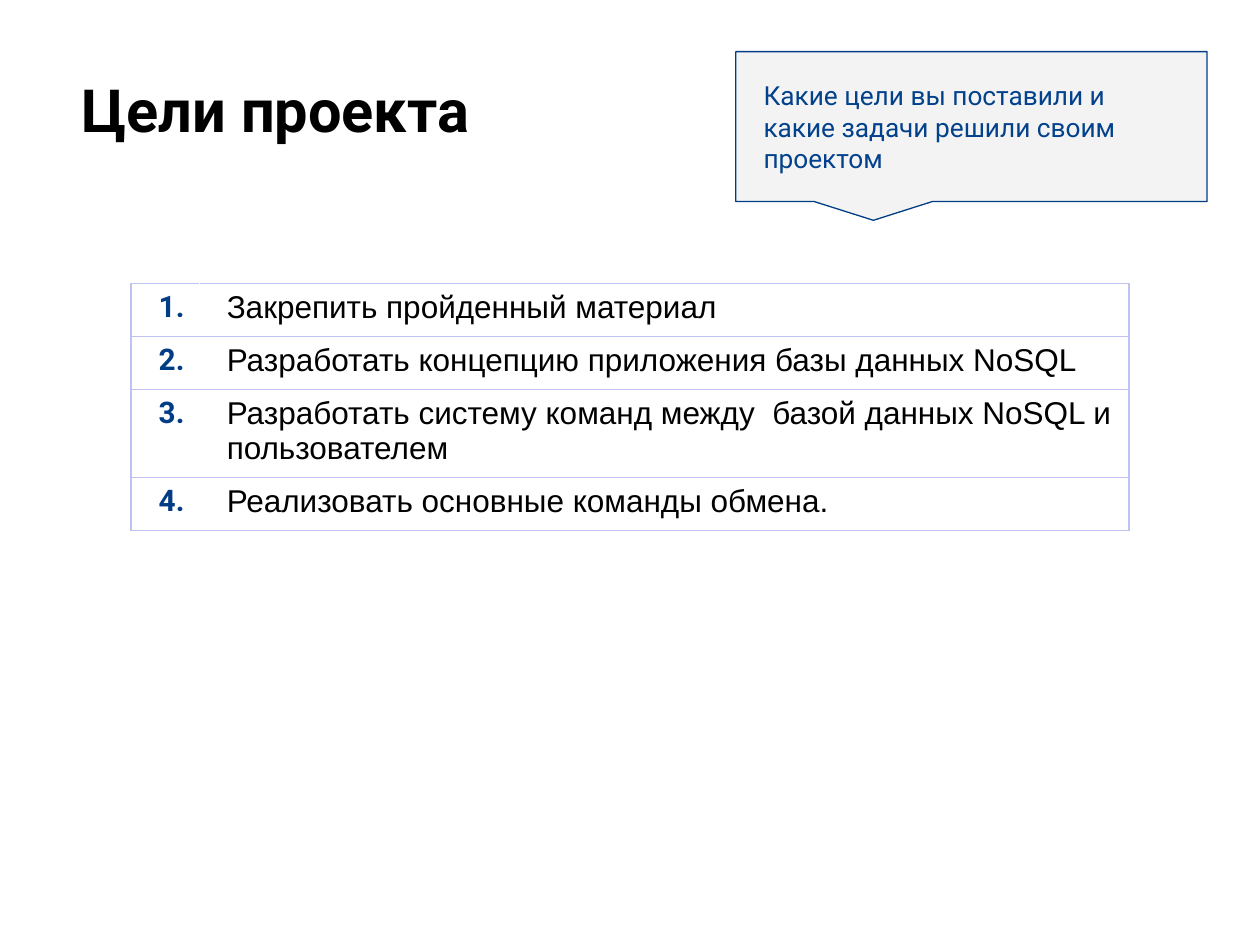
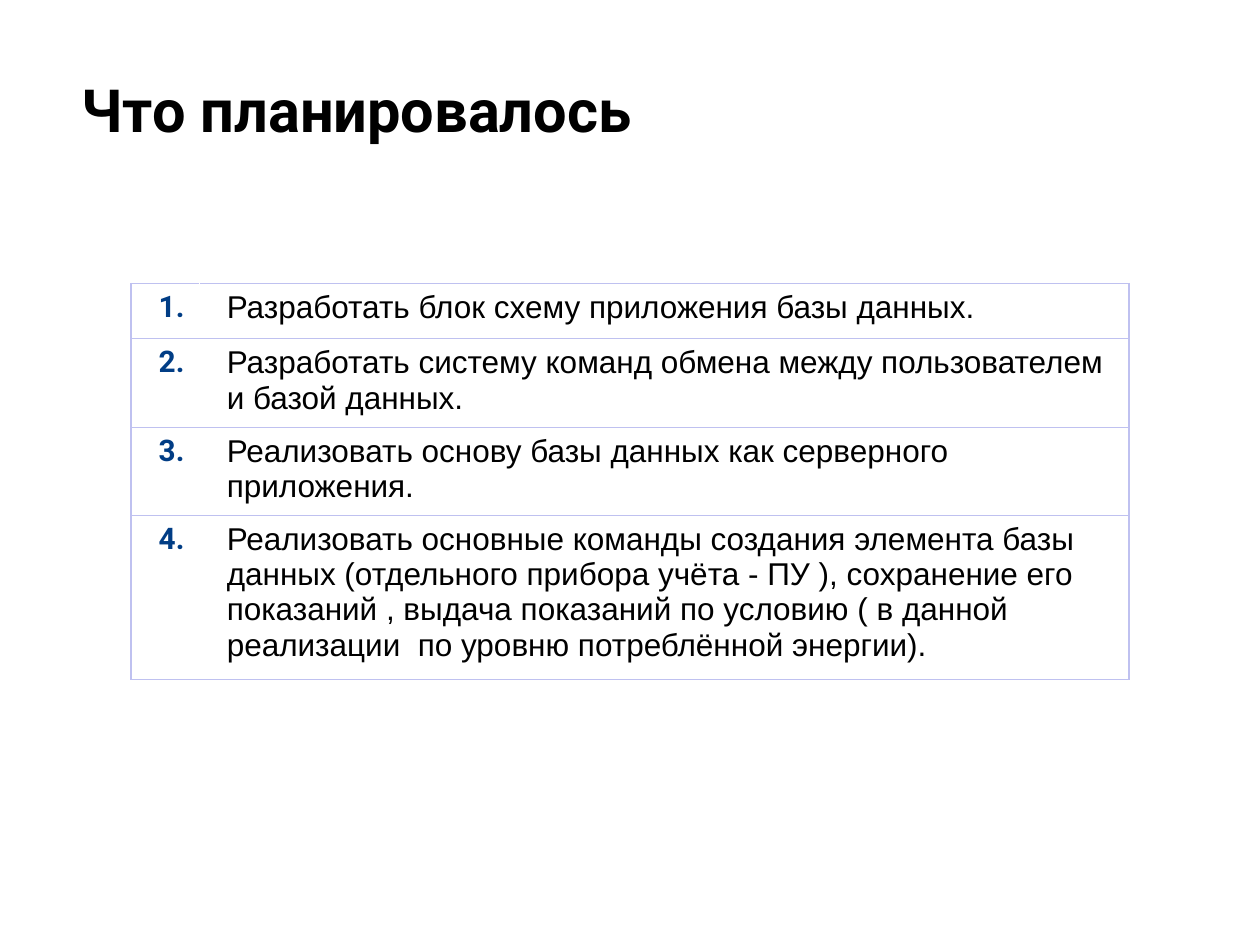
from lxml import etree
from pptx import Presentation
from pptx.dml.color import RGBColor
from pptx.enum.shapes import MSO_SHAPE
from pptx.enum.text import MSO_ANCHOR, PP_ALIGN
from pptx.oxml.ns import qn
from pptx.util import Inches, Pt

CALLOUT = MSO_SHAPE.RECTANGULAR_CALLOUT
TOP, MIDDLE = MSO_ANCHOR.TOP, MSO_ANCHOR.MIDDLE
LEFT = PP_ALIGN.LEFT

# Shared style
HEADING_FONT, BODY_FONT = "Roboto", "Arial"
BLACK, WHITE, NAVY, BLUE = "000000", "FFFFFF", "013D85", "02418B"
PALE_GREY, LAVENDER = "F3F3F3", "BFC1F0"
LINE_WIDTH = Pt(0.75)
ROW_HEIGHT = 0.42
COLUMN_WIDTHS = (0.54, 7.38)


def color(hex_text):
    return RGBColor.from_string(hex_text)


def write(frame, text, font=HEADING_FONT, size=18, ink=BLACK, bold=False):
    para = frame.paragraphs[0]
    para.alignment = LEFT
    span = para.add_run()
    span.text = text
    span.font.name = font
    span.font.size = Pt(size)
    span.font.bold = bold
    span.font.color.rgb = color(ink)


def set_margins(target, left, top, right, bottom):
    target.margin_left, target.margin_top = Inches(left), Inches(top)
    target.margin_right, target.margin_bottom = Inches(right), Inches(bottom)


def set_borders(cell, **sides):
    """Draw the cell's edges; the order left, right, top, bottom is required."""
    properties = cell._tc.get_or_add_tcPr()
    for index, side in enumerate(("L", "R", "T", "B")):
        line = etree.Element(qn("a:ln" + side), w=str(LINE_WIDTH))
        fill = etree.SubElement(line, qn("a:solidFill"))
        etree.SubElement(fill, qn("a:srgbClr"), val=sides.get(side, LAVENDER))
        properties.insert(index, line)


class SlideBuilder:
    def __init__(self):
        self.deck = Presentation()
        self.deck.slide_width = Inches(10)
        self.deck.slide_height = Inches(7.5)
        self.page = None

    def new_page(self, title):
        self.page = self.deck.slides.add_slide(self.deck.slide_layouts[6])
        self.page.background.fill.solid()
        self.page.background.fill.fore_color.rgb = color(WHITE)
        self.title(title)

    def title(self, text):
        box = self.page.shapes.add_textbox(
            Inches(0.55), Inches(0.48), Inches(9.32), Inches(1.43))
        frame = box.text_frame
        frame.word_wrap = True
        frame.vertical_anchor = TOP
        set_margins(frame, 0.1, 0.1, 0.1, 0.1)
        write(frame, text, size=34, bold=True)

    def numbered_table(self, items, first_height=ROW_HEIGHT):
        height = first_height + ROW_HEIGHT * (len(items) - 1)
        table = self.page.shapes.add_table(
            len(items), 2, Inches(1.04), Inches(2.25),
            Inches(sum(COLUMN_WIDTHS)), Inches(height)).table
        table.first_row = table.horz_banding = False
        for column, width in zip(table.columns, COLUMN_WIDTHS):
            column.width = Inches(width)
        for index, item in enumerate(items):
            table.rows[index].height = Inches(ROW_HEIGHT if index else first_height)
            number_cell, goal_cell = table.cell(index, 0), table.cell(index, 1)
            for cell in (number_cell, goal_cell):
                cell.fill.background()
                set_margins(cell, 0.22, 0.05, 0.1, 0.05)
            write(number_cell.text_frame, f"{index + 1}.", size=17, ink=NAVY, bold=True)
            write(goal_cell.text_frame, item, font=BODY_FONT)
            set_borders(number_cell, R=WHITE)
            set_borders(goal_cell, L=WHITE)

    def callout(self, text):
        shape = self.page.shapes.add_shape(
            CALLOUT, Inches(5.84), Inches(0.41), Inches(3.74), Inches(1.19))
        shape.adjustments[0], shape.adjustments[1] = -0.208, 0.625
        shape.shadow.inherit = False
        shape.fill.solid()
        shape.fill.fore_color.rgb = color(PALE_GREY)
        shape.line.color.rgb = color(NAVY)
        shape.line.width = LINE_WIDTH
        frame = shape.text_frame
        frame.word_wrap = True
        frame.vertical_anchor = MIDDLE
        set_margins(frame, 0.22, 0.14, 0.22, 0.14)
        write(frame, text, size=15, ink=BLUE)


def main():
    builder = SlideBuilder()

    # Project goals
    builder.new_page("Цели проекта")
    builder.numbered_table([
        "Закрепить пройденный материал",
        "Разработать концепцию приложения базы данных NoSQL",
        "Разработать систему команд между  базой данных NoSQL и пользователем",
        "Реализовать основные команды обмена.",
    ])
    builder.callout("Какие цели вы поставили и какие задачи решили своим проектом")

    # Planned work
    builder.new_page("Что планировалось")
    builder.numbered_table([
        "Разработать блок схему приложения базы данных.",
        "Разработать систему команд обмена между пользователем и базой данных.",
        "Реализовать основу базы данных как серверного приложения.",
        "Реализовать основные команды создания элемента базы данных "
        "(отдельного прибора учёта - ПУ ), сохранение его показаний , "
        "выдача показаний по условию ( в данной реализации  по уровню "
        "потреблённой энергии).",
    ], first_height=0.44)

    builder.deck.save("out.pptx")


if __name__ == "__main__":
    main()
